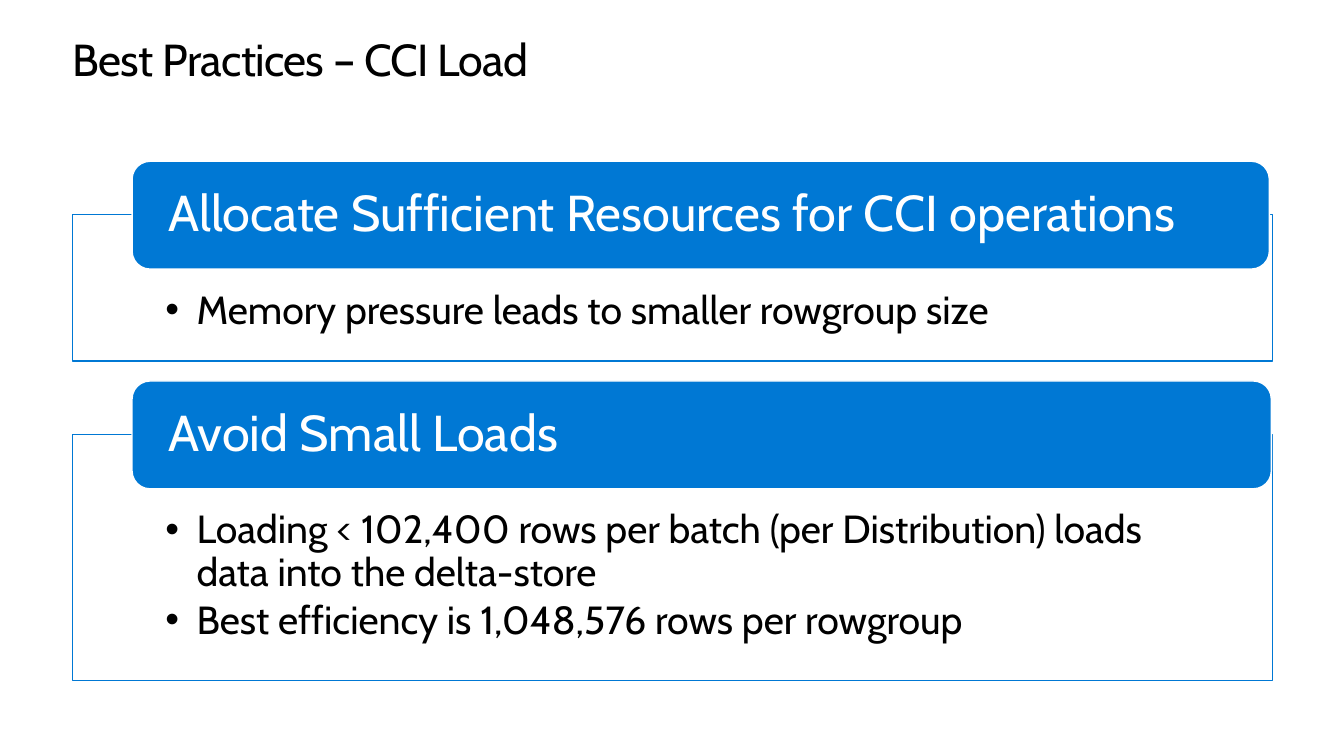
from lxml import etree
from pptx import Presentation
from pptx.dml.color import RGBColor
from pptx.enum.shapes import MSO_SHAPE
from pptx.enum.text import MSO_ANCHOR, MSO_AUTO_SIZE, PP_ALIGN
from pptx.oxml.ns import qn
from pptx.util import Inches, Pt

RECT, ROUNDED = MSO_SHAPE.RECTANGLE, MSO_SHAPE.ROUNDED_RECTANGLE
TOP, MIDDLE = MSO_ANCHOR.TOP, MSO_ANCHOR.MIDDLE
LEFT = PP_ALIGN.LEFT
NO_AUTOFIT = MSO_AUTO_SIZE.NONE
COLORS = {"blue": "0078D4", "white": "FFFFFF", "black": "000000"}
FONT = "Cabin"


def set_frame(sp, anchor, left, top, right, bottom):
    tf = sp.text_frame
    tf.word_wrap = True
    tf.auto_size = NO_AUTOFIT
    tf.vertical_anchor = anchor
    tf.margin_left, tf.margin_top = Inches(left), Inches(top)
    tf.margin_right, tf.margin_bottom = Inches(right), Inches(bottom)
    return tf


def add_text(p, text, size, color, spacing):
    p.alignment = LEFT
    p.line_spacing = spacing
    r = p.add_run()
    r.text = text
    r.font.name = FONT
    r.font.size = Pt(size)
    r.font.color.rgb = RGBColor.from_string(COLORS[color])
    return r


prs = Presentation()
prs.slide_width, prs.slide_height = Inches(13.33), Inches(7.5)
s = prs.slides.add_slide(prs.slide_layouts[5])

title = s.shapes.title
title.left, title.top = Inches(0.72), Inches(0.35)
title.width, title.height = Inches(11.9), Inches(0.5)
tf = set_frame(title, TOP, 0, 0, 0, 0)
r = add_text(tf.paragraphs[0], "Best Practices – CCI Load", 32, "black", Pt(36.2))
r.font._element.set("spc", "-50")

sections = [
    (2.13, 1.45, 11.28, "Allocate Sufficient Resources for CCI operations",
     ["Memory pressure leads to smaller rowgroup size"]),
    (4.31, 2.44, 11.3, "Avoid Small Loads",
     ["Loading < 102,400 rows per batch (per Distribution) loads data into the delta-store",
      "Best efficiency is 1,048,576 rows per rowgroup"]),
]

for top, height, header_width, heading, bullets in sections:
    body = s.shapes.add_shape(RECT, Inches(0.72), Inches(top), Inches(11.9), Inches(height))
    header = s.shapes.add_shape(ROUNDED, Inches(1.31), Inches(top - 0.53),
                                Inches(header_width), Inches(1.07))
    for sp, fill, line in [(body, "white", "blue"), (header, "blue", "white")]:
        sp.shadow.inherit = False
        sp.fill.solid()
        sp.fill.fore_color.rgb = RGBColor.from_string(COLORS[fill])
        sp.line.color.rgb = RGBColor.from_string(COLORS[line])
        sp.line.width = Pt(1)

    tf = set_frame(body, TOP, 0.92, 0.75, 0.92, 0.22)
    for i, bullet in enumerate(bullets):
        p = tf.add_paragraph() if i else tf.paragraphs[0]
        add_text(p, bullet, 28, "black", 0.9)
        p.space_after = Pt(4.2)
        pPr = p._p.get_or_add_pPr()
        pPr.set("marL", str(Inches(0.31)))
        pPr.set("indent", str(-Inches(0.31)))
        etree.SubElement(pPr, qn("a:buFont")).set("typeface", "Arial")
        etree.SubElement(pPr, qn("a:buChar")).set("char", "•")

    tf = set_frame(header, MIDDLE, 0.31, 0, 0.31, 0)
    add_text(tf.paragraphs[0], heading, 36, "white", 0.9)

prs.save("out.pptx")
